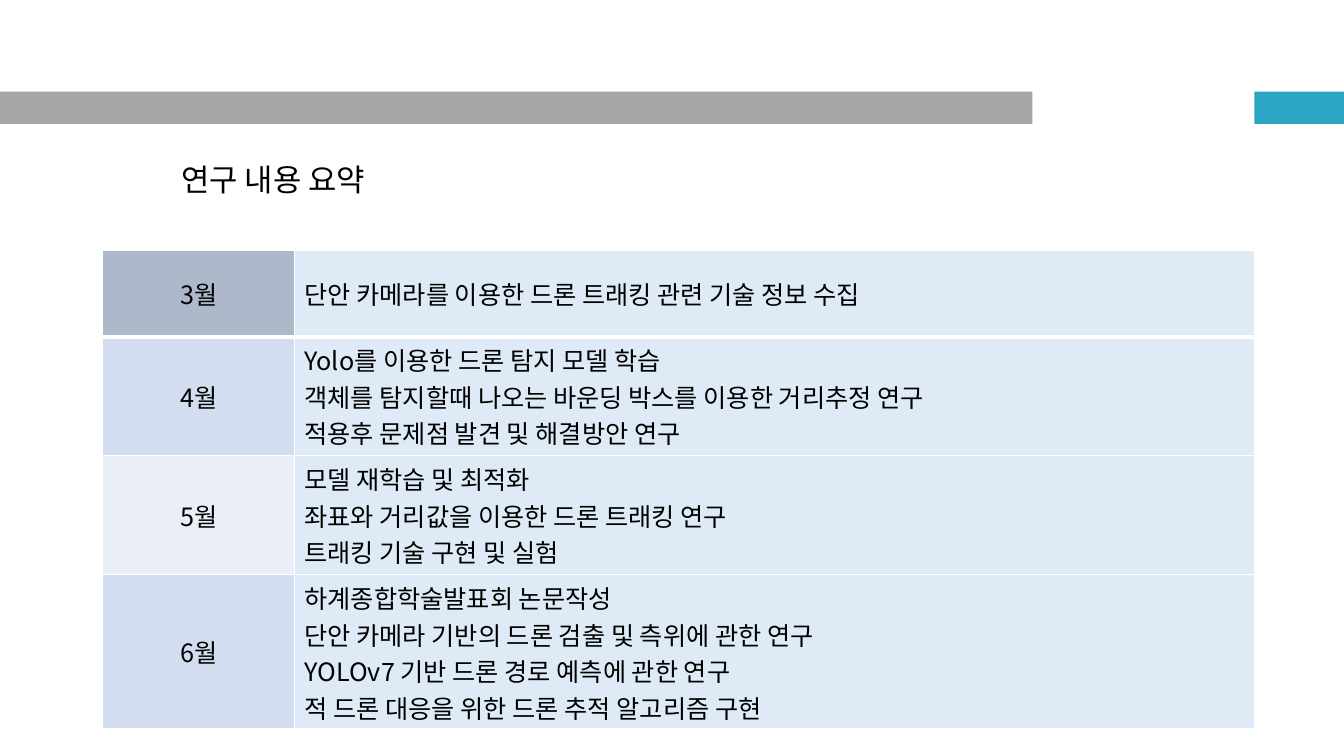
"""Build the monthly research summary slide."""
from pptx import Presentation
from pptx.dml.color import RGBColor
from pptx.enum.shapes import MSO_SHAPE
from pptx.enum.text import MSO_ANCHOR, PP_ALIGN
from pptx.oxml.ns import qn
from pptx.oxml.xmlchemy import OxmlElement
from pptx.util import Inches, Pt

RECT = MSO_SHAPE.RECTANGLE
MIDDLE = MSO_ANCHOR.MIDDLE
CENTER, LEFT = PP_ALIGN.CENTER, PP_ALIGN.LEFT
FONT = "Noto Sans CJK KR"
PLAN_FILL = "DEEBF7"
COL_WIDTHS = (1.9, 9.52)
MONTHS = [
    ("3월", "ADB9CA", 0.86, ["단안 카메라를 이용한 드론 트래킹 관련 기술 정보 수집"]),
    ("4월", "D2DEEF", 1.18, [
        "Yolo를 이용한 드론 탐지 모델 학습",
        "객체를 탐지할때 나오는 바운딩 박스를 이용한 거리추정 연구",
        "적용후 문제점 발견 및 해결방안 연구",
    ]),
    ("5월", "EAEFF7", 1.18, [
        "모델 재학습 및 최적화",
        "좌표와 거리값을 이용한 드론 트래킹 연구",
        "트래킹 기술 구현 및 실험",
    ]),
    ("6월", "D2DEEF", 1.53, [
        "하계종합학술발표회 논문작성",
        "단안 카메라 기반의 드론 검출 및 측위에 관한 연구",
        "YOLOv7 기반 드론 경로 예측에 관한 연구",
        "적 드론 대응을 위한 드론 추적 알고리즘 구현",
    ]),
]


def rgb(color):
    return RGBColor.from_string(color)


def add_bar(s, left, width, color):
    sp = s.shapes.add_shape(RECT, Inches(left), Inches(0.91), Inches(width), Inches(0.32))
    sp.shadow.inherit = False
    sp.fill.solid()
    sp.fill.fore_color.rgb = rgb(color)
    sp.line.fill.background()


def write_lines(tf, lines, size, align, hanging=0):
    tf.text = "\n".join(lines)
    for p in tf.paragraphs:
        p.alignment = align
        p.font.size = Pt(size)
        p.font.name = FONT
        p.font.color.rgb = rgb("000000")
        pPr = p._p.get_or_add_pPr()
        if hanging:
            pPr.set("marL", str(Inches(hanging)))
            pPr.set("indent", str(-Inches(hanging)))
        ea = OxmlElement("a:ea")
        ea.set("typeface", FONT)
        pPr.find(qn("a:defRPr")).find(qn("a:latin")).addnext(ea)


def add_title(s, text):
    sp = s.shapes.add_textbox(Inches(1.47), Inches(1.55), Inches(2.48), Inches(0.47))
    sp.text_frame.word_wrap = True
    write_lines(sp.text_frame, [text], 22, CENTER)


def set_borders(cell, bottom):
    tcPr = cell._tc.get_or_add_tcPr()
    for side, width in (("L", 1), ("R", 1), ("T", 1), ("B", bottom)):
        ln = OxmlElement(f"a:ln{side}")
        ln.set("w", str(Pt(width)))
        fill = OxmlElement("a:solidFill")
        color = OxmlElement("a:srgbClr")
        color.set("val", "FFFFFF")
        fill.append(color)
        ln.append(fill)
        tcPr.append(ln)


def fill_cell(cell, lines, color, align, hanging, bottom):
    write_lines(cell.text_frame, lines, 18, align, hanging)
    cell.vertical_anchor = MIDDLE
    set_borders(cell, bottom)
    cell.fill.solid()
    cell.fill.fore_color.rgb = rgb(color)


def add_schedule(s):
    height = sum(month[2] for month in MONTHS)
    table = s.shapes.add_table(len(MONTHS), len(COL_WIDTHS), Inches(1.02), Inches(2.48),
                               Inches(sum(COL_WIDTHS)), Inches(height)).table
    table.first_row = table.horz_banding = False
    for column, width in zip(table.columns, COL_WIDTHS):
        column.width = Inches(width)
    for i, (month, color, row_height, plans) in enumerate(MONTHS):
        table.rows[i].height = Inches(row_height)
        bottom = 3 if i == 0 else 1
        fill_cell(table.cell(i, 0), [month], color, CENTER, 0, bottom)
        fill_cell(table.cell(i, 1), plans, PLAN_FILL, LEFT, 0.25, bottom)


def main():
    prs = Presentation()
    prs.slide_width, prs.slide_height = Inches(13.33), Inches(7.5)
    s = prs.slides.add_slide(prs.slide_layouts[6])
    add_bar(s, 0, 10.24, "A6A6A6")
    add_bar(s, 12.44, 0.89, "2CA5C4")
    add_title(s, "연구 내용 요약")
    add_schedule(s)
    prs.save("out.pptx")


if __name__ == "__main__":
    main()
